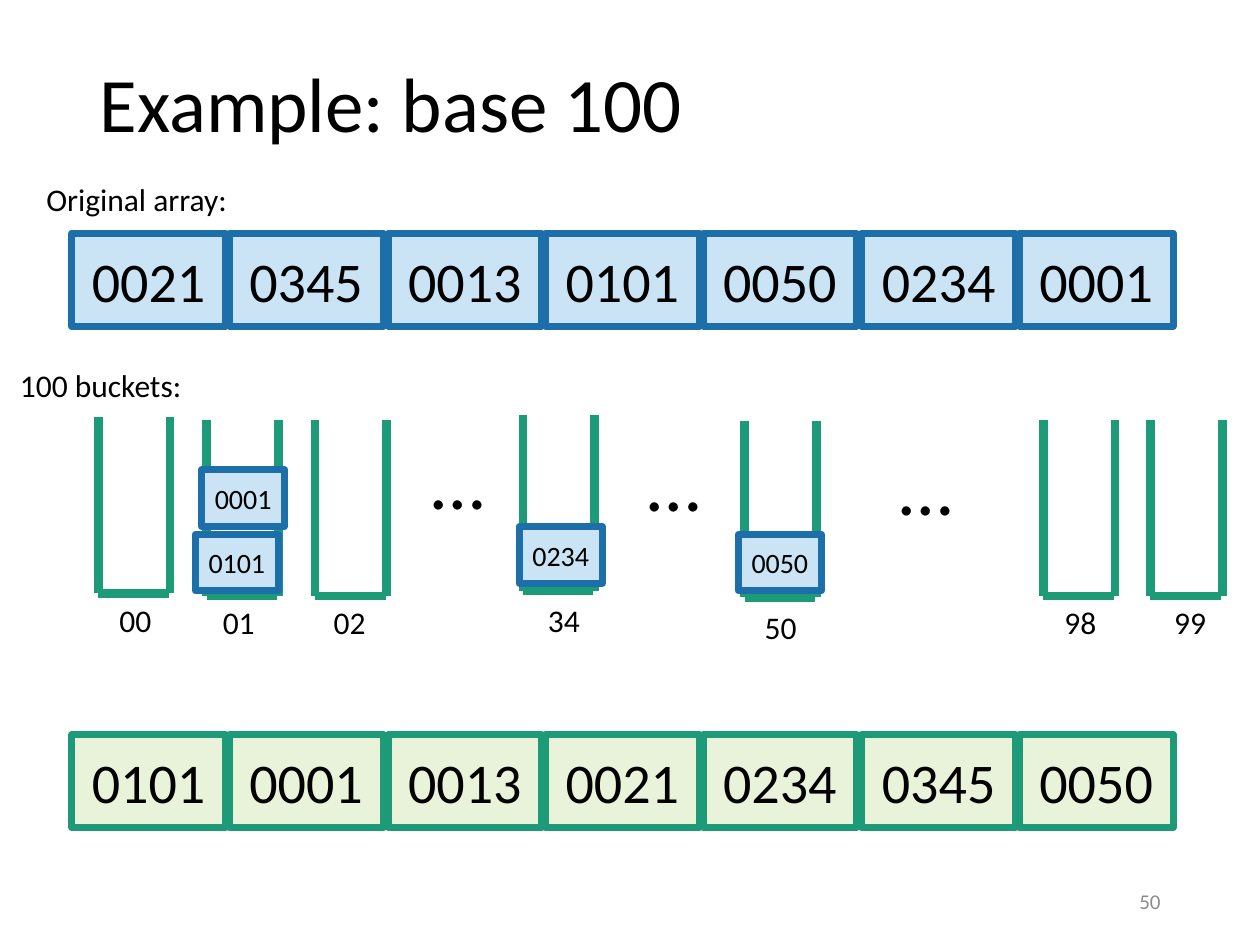
from dataclasses import dataclass

from pptx import Presentation
from pptx.dml.color import RGBColor
from pptx.enum.shapes import MSO_CONNECTOR, MSO_SHAPE
from pptx.enum.text import MSO_ANCHOR, MSO_AUTO_SIZE, PP_ALIGN
from pptx.oxml.ns import qn
from pptx.util import Pt
from lxml.etree import SubElement

PX = 9144  # EMU per px, 100 px to the inch
TITLE_ONLY = 5


@dataclass(frozen=True)
class Theme:
    font: str = "Calibri"
    ink: str = "000000"
    muted: str = "8C8C8C"
    green: str = "1D9A78"
    input_colors: tuple = ("CAE4F6", "1D6FA9")
    output_colors: tuple = ("E8F3DA", "1D9A78")
    title_size: int = 44
    cell_size: int = 32
    label_size: int = 18
    item_size: int = 16
    number_size: int = 12
    cell_line: int = 4
    bucket_line: int = 5


def apply(target, values):
    for name, value in values.items():
        setattr(target, name, value)


def box(left, top, width, height):
    names = ("left", "top", "width", "height")
    return {n: v * PX for n, v in zip(names, (left, top, width, height))}


class SlideBuilder:
    def __init__(self, slide, theme):
        self.slide, self.theme = slide, theme

    def set_text(self, frame, text, size, color=None, align=PP_ALIGN.LEFT,
                 anchor=MSO_ANCHOR.TOP):
        apply(frame, {"text": text, "word_wrap": True,
                      "auto_size": MSO_AUTO_SIZE.NONE,
                      "vertical_anchor": anchor})
        paragraph = frame.paragraphs[0]
        paragraph.alignment = align
        font = paragraph.runs[0].font
        apply(font, {"name": self.theme.font, "size": Pt(size)})
        font.color.rgb = RGBColor.from_string(color or self.theme.ink)
        return paragraph

    def title(self, text, place):
        heading = self.slide.shapes.title
        apply(heading, box(*place))
        paragraph = self.set_text(heading.text_frame, text,
                                  self.theme.title_size,
                                  anchor=MSO_ANCHOR.MIDDLE)
        paragraph.line_spacing = 0.9

    def label(self, text, place, size=None, **style):
        area = self.slide.shapes.add_textbox(**box(*place))
        self.set_text(area.text_frame, text, size or self.theme.label_size,
                      **style)

    def cell(self, text, place, size, colors):
        fill, border = colors
        cell = self.slide.shapes.add_shape(MSO_SHAPE.RECTANGLE, **box(*place))
        cell.shadow.inherit = False
        cell.fill.solid()
        cell.fill.fore_color.rgb = RGBColor.from_string(fill)
        cell.line.color.rgb = RGBColor.from_string(border)
        cell.line.width = Pt(self.theme.cell_line)
        self.set_text(cell.text_frame, text, size, align=PP_ALIGN.CENTER,
                      anchor=MSO_ANCHOR.MIDDLE)

    def array(self, values, top, colors):
        left, right, width, height = 57, 931, 122, 74
        step = (right - left - width) / (len(values) - 1)
        for i, value in enumerate(values):
            self.cell(value, (left + round(i * step), top, width, height),
                      self.theme.cell_size, colors)

    def line(self, *ends):
        line = self.slide.shapes.add_connector(
            MSO_CONNECTOR.STRAIGHT, *(end * PX for end in ends))
        line.line.color.rgb = RGBColor.from_string(self.theme.green)
        line.line.width = Pt(self.theme.bucket_line)
        SubElement(line._element.spPr, qn("a:effectLst"))

    def bucket(self, left, top):
        right, base = left + 57, top + 140
        self.line(left, top, left, base)
        self.line(right, top, right, base)
        self.line(right - 1, base, left, base)


def main():
    theme = Theme()
    deck = Presentation()
    apply(deck, {"slide_width": 1000 * PX, "slide_height": 750 * PX})
    slide = deck.slides.add_slide(deck.slide_layouts[TITLE_ONLY])
    build = SlideBuilder(slide, theme)

    build.title("Example: base 100", (69, 40, 862, 91))

    # Original array
    build.array(["0021", "0345", "0013", "0101", "0050", "0234", "0001"],
                185, theme.input_colors)
    build.label("Original array:", (27, 138, 324, 40))

    # Buckets: digit, bucket left and top, digit left and top
    build.label("100 buckets:", (6, 286, 153, 40))
    buckets = [
        ("00", 78, 331, 85, 472),
        ("01", 164, 333, 167, 474),
        ("02", 250, 333, 255, 474),
        ("34", 415, 329, 425, 472),
        ("50", 591, 334, 597, 478),
        ("98", 828, 333, 835, 474),
        ("99", 913, 333, 922, 474),
    ]
    for digit, left, top, digit_left, digit_top in buckets:
        build.bucket(left, top)
        build.label(digit, (digit_left, digit_top, 53, 40))

    # Skipped buckets
    for left, top in [(333, 338), (504, 340), (704, 343)]:
        build.label("…", (left, top, 107, 84), theme.title_size)

    # Array after the pass
    build.array(["0101", "0001", "0013", "0021", "0234", "0345", "0050"],
                583, theme.output_colors)

    # Numbers lying in the buckets
    for number, left, top in [("0101", 155, 424), ("0001", 160, 373),
                              ("0050", 586, 424), ("0234", 412, 418)]:
        build.cell(number, (left, top, 66, 45), theme.item_size,
                   theme.input_colors)

    # Slide number
    build.label("50", (706, 695, 225, 40), theme.number_size,
                color=theme.muted, align=PP_ALIGN.RIGHT,
                anchor=MSO_ANCHOR.MIDDLE)

    deck.save("out.pptx")


if __name__ == "__main__":
    main()
